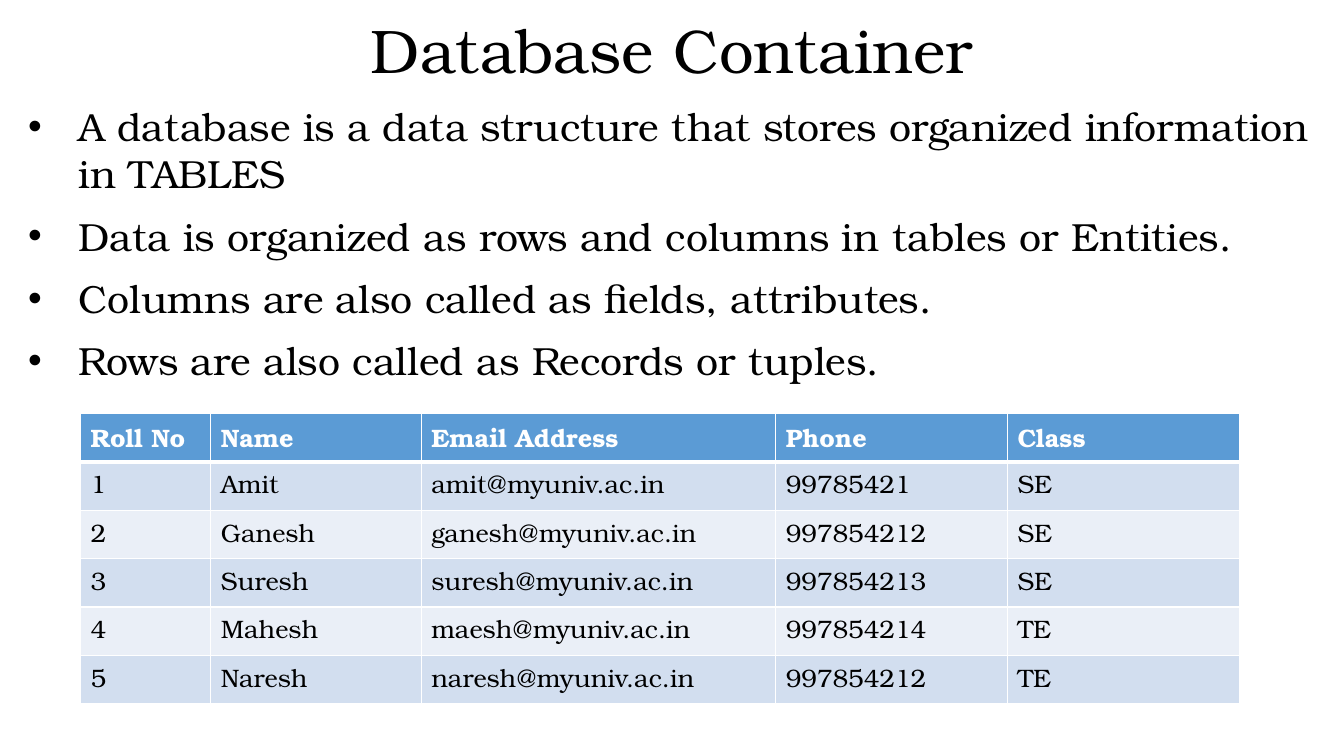
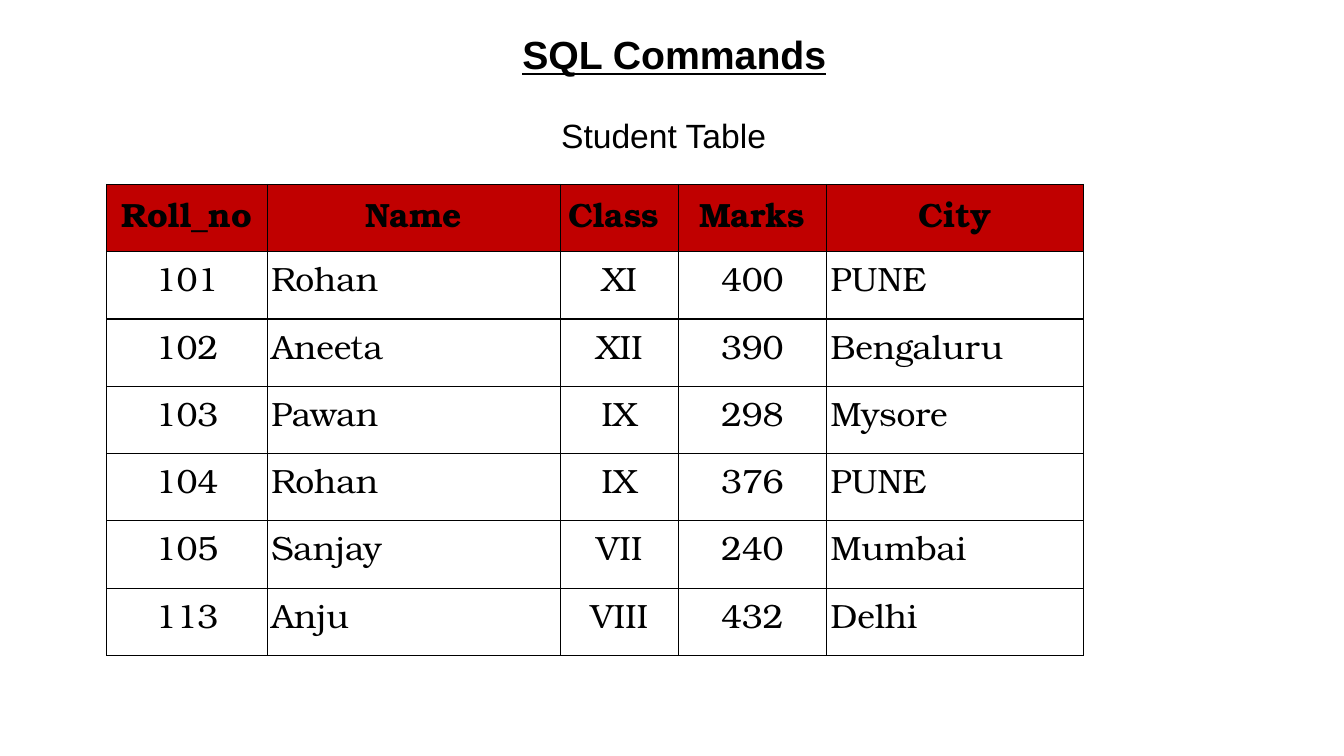
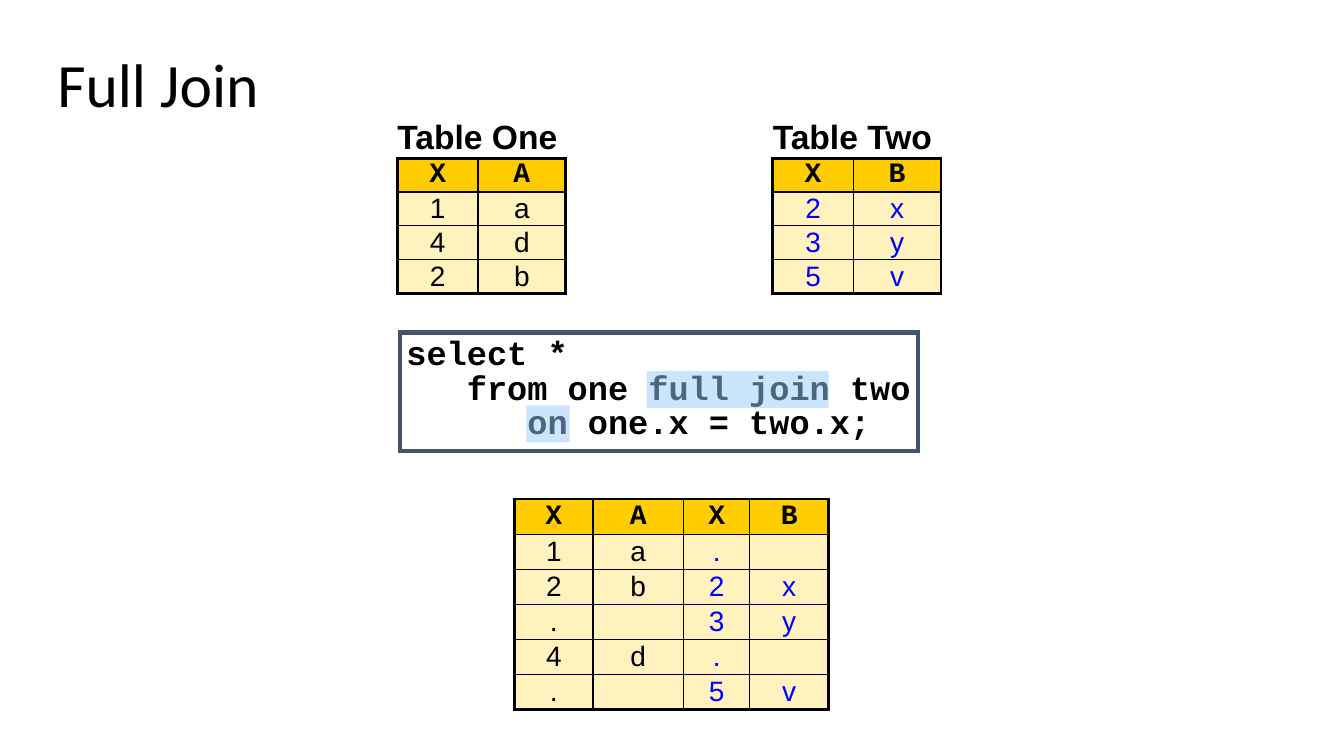
from lxml.etree import SubElement
from pptx import Presentation
from pptx.dml.color import RGBColor
from pptx.enum.shapes import MSO_SHAPE as Shape
from pptx.enum.text import MSO_ANCHOR as Anchor, MSO_AUTO_SIZE as AutoSize, PP_ALIGN as Align
from pptx.oxml.ns import qn
from pptx.util import Pt

BLACK = RGBColor(0x00, 0x00, 0x00)
WHITE = RGBColor(0xFF, 0xFF, 0xFF)
BLUE = RGBColor(0x00, 0x00, 0xFF)
HEADER_BLUE = RGBColor(0x5B, 0x9B, 0xD5)
BAND_DARK = RGBColor(0xD2, 0xDE, 0xEF)
BAND_LIGHT = RGBColor(0xEA, 0xEF, 0xF7)
HEADER_RED = RGBColor(0xC0, 0x00, 0x00)
GOLD = RGBColor(0xFF, 0xCC, 0x00)
CREAM = RGBColor(0xFF, 0xF2, 0xBE)
SLATE = RGBColor(0x44, 0x54, 0x6A)
HIGHLIGHT = RGBColor(0x99, 0xCC, 0xFF)

SERIF, SANS, MONO, TITLE_SANS = "TeX Gyre Bonum", "Arial", "Courier New", "Calibri"
ALIGNS = {"l": Align.LEFT, "c": Align.CENTER}

CONTAINER_POINTS = [
    "A database is a data structure that stores organized information in TABLES",
    "Data is organized as rows and columns in tables or Entities.",
    "Columns are also called as fields, attributes.",
    "Rows are also called as Records or tuples.",
]
CONTACTS = [
    ("Roll No", "Name", "Email Address", "Phone", "Class"),
    ("1", "Amit", "amit@myuniv.ac.in", "99785421", "SE"),
    ("2", "Ganesh", "ganesh@myuniv.ac.in", "997854212", "SE"),
    ("3", "Suresh", "suresh@myuniv.ac.in", "997854213", "SE"),
    ("4", "Mahesh", "maesh@myuniv.ac.in", "997854214", "TE"),
    ("5", "Naresh", "naresh@myuniv.ac.in", "997854212", "TE"),
]
STUDENTS = [
    ("Roll_no", "Name", "Class ", "Marks", "City"),
    ("101", "Rohan", "XI", "400", "PUNE"),
    ("102", "Aneeta", "XII", "390", "Bengaluru"),
    ("103", "Pawan", "IX", "298", "Mysore"),
    ("104", "Rohan", "IX", "376", "PUNE"),
    ("105", "Sanjay", "VII", "240", "Mumbai"),
    ("113", "Anju", "VIII", "432", "Delhi"),
]
TABLE_ONE = [("X", "A"), ("1", "a"), ("4", "d"), ("2", "b")]
TABLE_TWO = [("X", "B"), ("2", "x"), ("3", "y"), ("5", "v")]
FULL_JOIN = [
    ("X", "A", "X", "B"),
    ("1", "a", ".", ""),
    ("2", "b", "2", "x"),
    (".", "", "3", "y"),
    ("4", "d", ".", ""),
    (".", "", "5", "v"),
]
QUERY = ["select *", "from one full join two", "on one.x = two.x;"]
QUERY_INDENTS = [0, 43.2, 86.4]  # three Courier characters a step
QUERY_HIGHLIGHTS = [(462, 265, 130, 26.5), (376, 289.5, 31, 26.5)]

CONTACT_STYLE = dict(
    font=SERIF, header_size=18, size=18, header_color=WHITE, header_fill=HEADER_BLUE,
    fills=(BAND_DARK, BAND_LIGHT), aligns="lllll", header_align="l",
    line_color=WHITE, header_line=3)
STUDENT_STYLE = dict(
    font=SERIF, header_size=24, size=24, header_fill=HEADER_RED,
    aligns="clccl", margins=(3, 3))
JOIN_STYLE = dict(
    font=SANS, header_font=MONO, header_size=20, size=20, header_fill=GOLD,
    fills=(CREAM,), aligns="cccc", margins=(7.2, 0), anchor=Anchor.MIDDLE, outer_line=2.25)


def write(frame, lines, font, size, color=BLACK, bold=False, underline=False,
          align=Align.LEFT, spacing=None, gap=0, indents=None, hanging=0, bullet=None):
    """Fill a text frame, one paragraph for each line."""
    for index, line in enumerate(lines):
        paragraph = frame.paragraphs[0] if index == 0 else frame.add_paragraph()
        paragraph.alignment = align
        if spacing:
            paragraph.line_spacing = spacing
        if gap and index:
            paragraph.space_before = Pt(gap)
        properties = paragraph._p.get_or_add_pPr()
        indent = indents[index] if indents else hanging
        properties.set("marL", str(Pt(indent)))
        properties.set("indent", str(Pt(-hanging)))
        if bullet:
            SubElement(properties, qn("a:buFont"), typeface=SANS)
            SubElement(properties, qn("a:buChar"), char=bullet)
        if line:
            run = paragraph.add_run()
            run.text = line
            run.font.name, run.font.size = font, Pt(size)
            run.font.bold, run.font.underline = bold, underline
            run.font.color.rgb = color


def place(shape, box):
    shape.left, shape.top, shape.width, shape.height = map(Pt, box)


def add_title_slide(presentation, title, box, wrap=True, **text_format):
    slide = presentation.slides.add_slide(presentation.slide_layouts[5])
    shape = slide.shapes.title
    place(shape, box)
    frame = shape.text_frame
    frame.auto_size, frame.word_wrap = AutoSize.NONE, wrap
    frame.vertical_anchor = Anchor.MIDDLE
    write(frame, [title], **text_format)
    return slide


def add_text(slide, box, lines, anchor=Anchor.TOP, **text_format):
    frame = slide.shapes.add_textbox(*map(Pt, box)).text_frame
    frame.word_wrap, frame.vertical_anchor = True, anchor
    write(frame, lines, **text_format)


def add_box(slide, box, fill, line=None, line_width=0):
    shape = slide.shapes.add_shape(Shape.RECTANGLE, *map(Pt, box))
    shape.shadow.inherit = False
    shape.fill.solid()
    shape.fill.fore_color.rgb = fill
    if line is None:
        shape.line.fill.background()
    else:
        shape.line.color.rgb, shape.line.width = line, Pt(line_width)
        SubElement(shape.line._get_or_add_ln(), qn("a:miter"), lim="800000")
    return shape


def set_borders(cell, color, **widths):
    """Draw the sides L, R, T, B of a cell; a width of 0 means no line."""
    properties = cell._tc.get_or_add_tcPr()
    for side in "LRTB":
        line = SubElement(properties, qn("a:ln" + side), w=str(Pt(widths[side])))
        if widths[side]:
            fill = SubElement(line, qn("a:solidFill"))
            SubElement(fill, qn("a:srgbClr"), val=str(color))
        else:
            SubElement(line, qn("a:noFill"))


def format_cell(cell, fill, margins, anchor):
    cell.margin_left = cell.margin_right = Pt(margins[0])
    cell.margin_top = cell.margin_bottom = Pt(margins[1])
    cell.vertical_anchor = anchor
    if fill is None:
        cell.fill.background()
    else:
        cell.fill.solid()
        cell.fill.fore_color.rgb = fill


def add_grid(slide, left, top, widths, row_height, rows, font, size, header_size, header_fill,
             aligns, header_font=None, header_color=BLACK, header_align="c", fills=(None,),
             colors=None, margins=(7.2, 3.6), anchor=Anchor.TOP, line_color=BLACK,
             outer_line=1, header_line=1, caption=None, caption_height=28.8):
    """Add a table with a header row and, unless caption is None, a merged row above it."""
    first = 0 if caption is None else 1
    heights = [caption_height] * first + [row_height] * len(rows)
    table = slide.shapes.add_table(
        len(heights), len(widths), Pt(left), Pt(top), Pt(sum(widths)), Pt(sum(heights))).table
    table.horz_banding = False
    for column, width in zip(table.columns, widths):
        column.width = Pt(width)
    for row, height in zip(table.rows, heights):
        row.height = Pt(height)

    if first:
        for column in range(len(widths)):
            cell = table.cell(0, column)
            set_borders(cell, line_color, L=0, R=0, T=0, B=outer_line)
            format_cell(cell, None, (0, 0), Anchor.MIDDLE)
        table.cell(0, 0).merge(table.cell(0, len(widths) - 1))
        write(table.cell(0, 0).text_frame, [caption], SANS, 24, bold=True)

    row_lines = [outer_line, header_line] + [1] * (len(rows) - 2) + [outer_line]
    column_lines = [outer_line] + [1] * (len(widths) - 1) + [outer_line]
    for r, values in enumerate(rows):
        for c, value in enumerate(values):
            cell = table.cell(r + first, c)
            set_borders(cell, line_color, L=column_lines[c], R=column_lines[c + 1],
                        T=row_lines[r], B=row_lines[r + 1])
            if r == 0:
                fill = header_fill
                text_format = dict(font=header_font or font, size=header_size, bold=True,
                                   color=header_color, align=ALIGNS[header_align])
            else:
                fill = fills[(r - 1) % len(fills)]
                text_format = dict(font=font, size=size, align=ALIGNS[aligns[c]],
                                   color=colors[c] if colors else BLACK)
            format_cell(cell, fill, margins, anchor)
            write(cell.text_frame, [value], **text_format)


def build_container(presentation):
    slide = add_title_slide(presentation, "Database Container", (66, 6.5, 828, 63.5),
                            font=SERIF, size=44, align=Align.CENTER, spacing=0.9)
    add_grid(slide, 57.6, 295.2, (93, 150.3, 253.2, 165.6, 165.6), 34.6, CONTACTS,
             **CONTACT_STYLE)
    add_text(slide, (13, 69.7, 932, 209.5), CONTAINER_POINTS, font=SERIF, size=28,
             gap=10.8, hanging=36, bullet="•")


def build_commands(presentation):
    slide = add_title_slide(presentation, "SQL Commands", (364.6, 18, 234, 41), wrap=False,
                            font=SANS, size=28, bold=True, underline=True, align=Align.CENTER)
    add_text(slide, (144, 78, 660, 36.5), ["Student Table"], anchor=Anchor.MIDDLE,
             font=SANS, size=24, align=Align.CENTER)
    add_grid(slide, 76.3, 131.8, (114.5, 209.5, 84.2, 105.8, 183.5), 48.05, STUDENTS,
             **STUDENT_STYLE)


def build_full_join(presentation):
    slide = add_title_slide(presentation, "Full Join", (33.7, 10.6, 828, 104),
                            font=TITLE_SANS, size=44, spacing=0.9)
    query = add_box(slide, (286, 237.5, 370, 84.5), WHITE, SLATE, 3)
    frame = query.text_frame
    frame.word_wrap, frame.vertical_anchor = True, Anchor.TOP
    frame.margin_left = frame.margin_right = Pt(4.3)
    frame.margin_top = frame.margin_bottom = Pt(4.3)
    write(frame, QUERY, MONO, 24, bold=True, spacing=0.85, indents=QUERY_INDENTS)

    for caption, left, rows, color in (("Table One", 283.9, TABLE_ONE, BLACK),
                                       ("Table Two", 552, TABLE_TWO, BLUE)):
        add_grid(slide, left, 84.2, (57.6, 62.5), 24.2, rows, caption=caption,
                 colors=(color, color), **JOIN_STYLE)
    add_grid(slide, 367.6, 327, (56, 64.6, 47.5, 56.2), 25.1, FULL_JOIN,
             caption="", caption_height=29.5, colors=(BLACK, BLACK, BLUE, BLUE), **JOIN_STYLE)

    for box in QUERY_HIGHLIGHTS:
        shape = add_box(slide, box, HIGHLIGHT)
        color = shape.fill._xPr.find(qn("a:solidFill"))[0]
        SubElement(color, qn("a:alpha"), val="50000")


def main():
    presentation = Presentation()
    presentation.slide_width, presentation.slide_height = Pt(960), Pt(540)
    build_container(presentation)
    build_commands(presentation)
    build_full_join(presentation)
    presentation.save("out.pptx")


if __name__ == "__main__":
    main()
